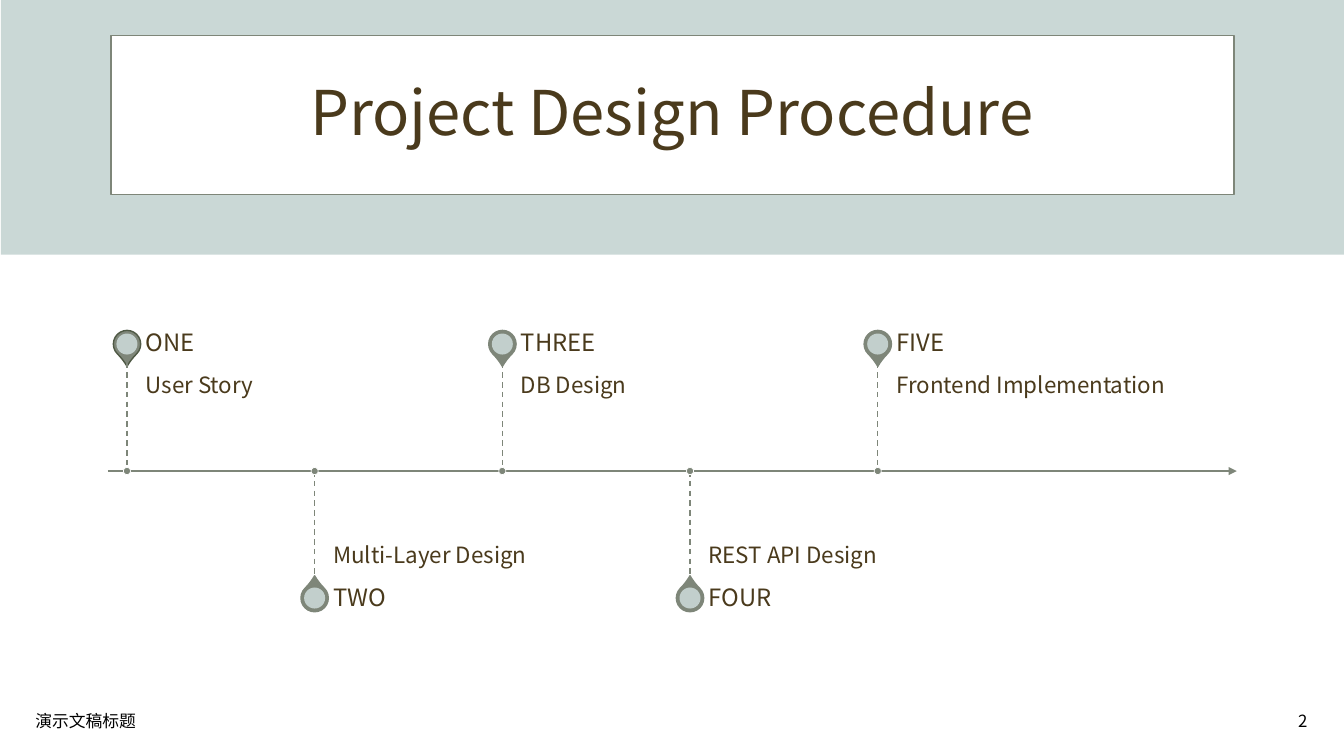
import pptx
import pptx.util
import pptx.dml.color
import pptx.enum.dml
import pptx.enum.shapes
import pptx.enum.text
import pptx.oxml
import pptx.oxml.ns

Cm = pptx.util.Cm
Pt = pptx.util.Pt
RGBColor = pptx.dml.color.RGBColor
Shape = pptx.enum.shapes.MSO_SHAPE
Anchor = pptx.enum.text.MSO_ANCHOR
Align = pptx.enum.text.PP_ALIGN
Dash = pptx.enum.dml.MSO_LINE

MIST = RGBColor(0xCA, 0xD8, 0xD6)
SAGE = RGBColor(0x7E, 0x86, 0x79)
DARK_SAGE = RGBColor(0x4F, 0x59, 0x45)
BROWN = RGBColor(0x4A, 0x3A, 0x1C)
WHITE = RGBColor(0xFF, 0xFF, 0xFF)
BLACK = RGBColor(0, 0, 0)

# Timeline geometry in centimetres
AXIS_Y = 11.87
FIRST_X = 3.2
STEP_X = 4.73
PIN_RISE = 3.2
STEM = 2.73
PIN = 0.69
PIN_FACE = 0.53
DOT = 0.18
LABEL_WIDTH = 7.87
NAME_HEIGHT = 0.96

STEPS = [
    ("ONE", "User Story"),
    ("TWO", "Multi-Layer Design"),
    ("THREE", "DB Design"),
    ("FOUR", "REST API Design"),
    ("FIVE", "Frontend Implementation"),
]


def add_xml(parent, tag, **attributes):
    element = pptx.oxml.parse_xml(f"<{tag} {pptx.oxml.ns.nsdecls('a')}/>")
    for name, value in attributes.items():
        element.set(name, value)
    parent.append(element)


class SlideBuilder:
    font = "Noto Sans CJK SC"

    def __init__(self, presentation):
        self.slide = presentation.slides.add_slide(presentation.slide_layouts[5])
        self.shapes = self.slide.shapes

    def shape(self, kind, left, top, width, height, fill, line=None,
              line_width=1, rotation=0, opacity=None):
        shape = self.shapes.add_shape(kind, Cm(left), Cm(top), Cm(width), Cm(height))
        shape.shadow.inherit = False
        shape.rotation = rotation
        shape.fill.solid()
        shape.fill.fore_color.rgb = fill
        if opacity is not None:
            color = shape._element.spPr.find(".//" + pptx.oxml.ns.qn("a:srgbClr"))
            add_xml(color, "a:alpha", val=str(opacity * 1000))
        if line is None:
            shape.line.fill.background()
        else:
            shape.line.color.rgb = line
            shape.line.width = Pt(line_width)
        return shape

    def centred(self, kind, x, y, size, fill, **style):
        return self.shape(kind, x - size / 2, y - size / 2, size, size, fill, **style)

    def line(self, start, end, width, dash=None, arrow=False):
        connector = self.shapes.add_connector(
            pptx.enum.shapes.MSO_CONNECTOR.STRAIGHT, *map(Cm, start + end))
        connector.line.color.rgb = SAGE
        connector.line.width = Pt(width)
        if dash:
            connector.line.dash_style = dash
        if arrow:
            add_xml(connector.line._get_or_add_ln(), "a:tailEnd", type="triangle")
        add_xml(connector._element.spPr, "a:effectLst")

    def set_text(self, shape, text, size, color=BROWN, align=Align.LEFT, spacing=0.9,
                 anchor=Anchor.MIDDLE, insets=(0.25, 0.13, 0.25, 0.13)):
        frame = shape.text_frame
        frame.text = text
        left, top, right, bottom = map(Cm, insets)
        frame_format = {
            "word_wrap": True, "vertical_anchor": anchor,
            "auto_size": pptx.enum.text.MSO_AUTO_SIZE.NONE,
            "margin_left": left, "margin_top": top,
            "margin_right": right, "margin_bottom": bottom,
        }
        paragraph = frame.paragraphs[0]
        font = paragraph.runs[0].font
        for target, values in (
            (frame, frame_format),
            (paragraph, {"alignment": align, "line_spacing": spacing}),
            (font, {"name": self.font, "size": Pt(size)}),
        ):
            for name, value in values.items():
                setattr(target, name, value)
        font.color.rgb = color
        add_xml(font._element, "a:ea", typeface=self.font)

    def text(self, left, top, width, height, text, size, **style):
        box = self.shapes.add_textbox(Cm(left), Cm(top), Cm(width), Cm(height))
        self.set_text(box, text, size, **style)

    def title(self, left, top, width, height, text, size):
        title = self.shapes.title
        place = {"left": left, "top": top, "width": width, "height": height}
        for name, value in place.items():
            setattr(title, name, Cm(value))
        self.set_text(title, text, size, align=Align.CENTER)
        # Bring the title in front of its panel
        self.shapes._spTree.append(title._element)

    def step(self, index, name, task):
        x = FIRST_X + index * STEP_X
        above = index % 2 == 0
        side = -1 if above else 1
        pin_y = AXIS_Y + side * PIN_RISE
        stem_y = AXIS_Y + side * STEM
        label_x = x + 0.47

        # Pin
        self.centred(Shape.TEAR, x, pin_y, PIN, SAGE,
                     line=SAGE if index else DARK_SAGE,
                     rotation=135 if above else 315).adjustments[0] = 1.15
        self.centred(Shape.OVAL, x, pin_y, PIN_FACE, MIST, opacity=90)

        # Labels
        self.text(label_x, min(stem_y, AXIS_Y), LABEL_WIDTH, STEM, task, 16,
                  anchor=Anchor.TOP if above else Anchor.BOTTOM,
                  insets=(0, 0.28, 0.28, 0.43) if above else (0, 0.43, 0, 0.28))
        self.text(label_x, stem_y - NAME_HEIGHT if above else stem_y,
                  LABEL_WIDTH, NAME_HEIGHT, name, 17, insets=(0, 0, 0.3, 0))

        # Stem and axis dot
        self.line((x, min(stem_y, AXIS_Y)), (x, max(stem_y, AXIS_Y)), 1, Dash.DASH)
        self.centred(Shape.OVAL, x, AXIS_Y, DOT, SAGE, line=WHITE, line_width=0.5)


def main():
    presentation = pptx.Presentation()
    presentation.slide_width = Cm(33.87)
    presentation.slide_height = Cm(19.05)
    builder = SlideBuilder(presentation)

    # Header
    builder.shape(Shape.RECTANGLE, 0.02, 0, 33.85, 6.42, MIST)
    builder.shape(Shape.RECTANGLE, 2.8, 0.9, 28.3, 4.01, WHITE, line=SAGE)
    builder.title(1.06, 1.06, 31.75, 3.69, "Project Design Procedure", 44)

    # Footer
    builder.text(0.64, 17.65, 11.43, 1.02, "演示文稿标题", 12, color=BLACK, spacing=1.0)
    builder.text(25.58, 17.65, 7.62, 1.02, "2", 12, color=BLACK, spacing=1.0,
                 align=Align.RIGHT)

    # Timeline
    builder.line((2.72, AXIS_Y), (31.17, AXIS_Y), 1.5, arrow=True)
    for index, (name, task) in enumerate(STEPS):
        builder.step(index, name, task)

    presentation.save("out.pptx")


if __name__ == "__main__":
    main()
